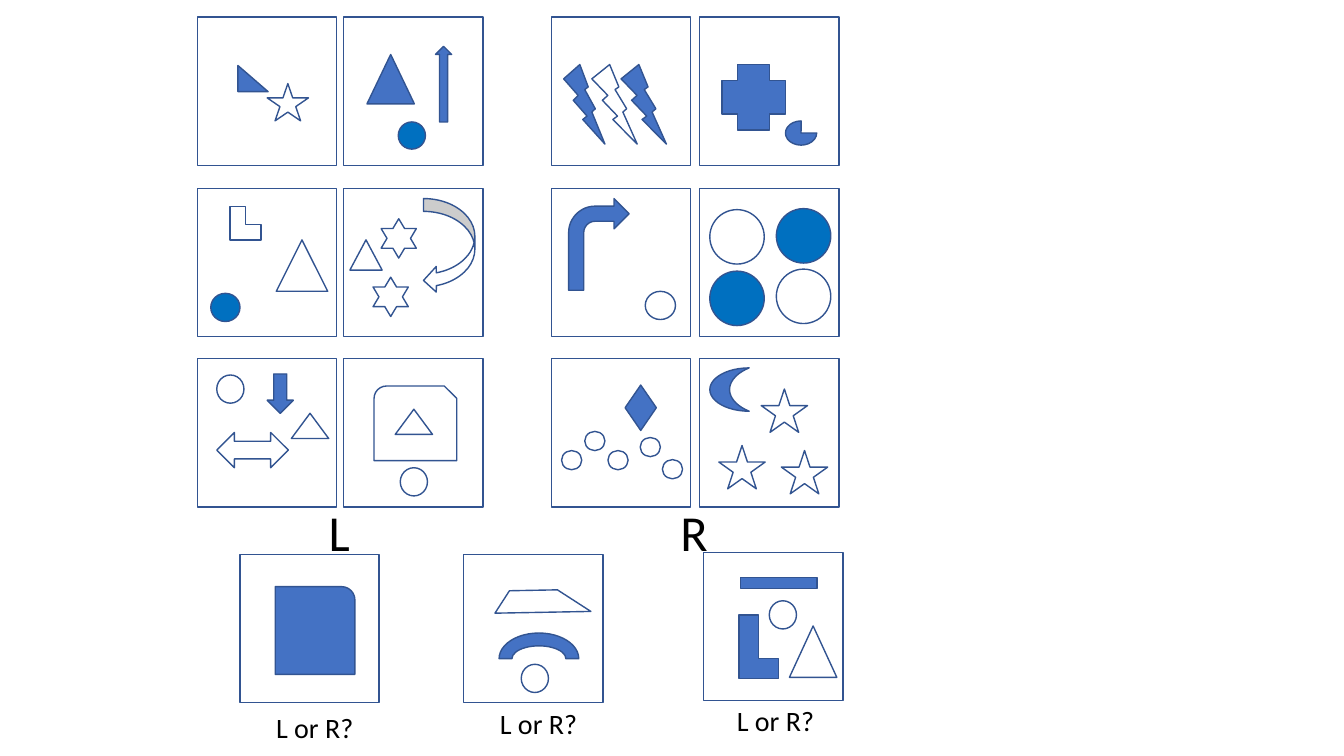
import pptx
import pptx.dml.color
import pptx.enum.shapes
import pptx.enum.text
import pptx.util

SHAPE = pptx.enum.shapes.MSO_SHAPE
BLUE, DEEP, WHITE, LINE, BLACK = "4472C4", "0070C0", "FFFFFF", "325491", "000000"
STEP = 0.1
PANEL = (13.8, 14.7)
COLS = (19.6, 34.1, 54.7, 69.4)
ROWS = (1.7, 18.7, 35.6)

EXAMPLES = [
    [
        [("RIGHT_TRIANGLE", BLUE, 4, 4.8, 3, 2.6), ("STAR_5_POINT", WHITE, 6.9, 6.6, 4.1, 3.7)],
        [("FLOWCHART_EXTRACT", BLUE, 2.3, 3.7, 4.7, 4.9),
         ("UP_ARROW", BLUE, 9.1, 2.9, 1.6, 7.5),
         ("OVAL", DEEP, 5.4, 10.4, 2.7, 2.7)],
        [("LIGHTNING_BOLT", BLUE, 1.2, 4.7, 4.1, 7.9),
         ("LIGHTNING_BOLT", BLUE, 6.9, 4.7, 4.5, 7.9),
         ("LIGHTNING_BOLT", WHITE, 4, 4.7, 4.5, 7.9)],
        [("CROSS", BLUE, 2.2, 4.7, 6.3, 6.5), ("PIE", BLUE, 8.5, 10.3, 3.1, 2.4)],
    ],
    [
        [("CORNER", WHITE, 3.2, 1.8, 3.1, 3.3),
         ("FLOWCHART_EXTRACT", WHITE, 7.8, 5.1, 5.1, 5.1),
         ("OVAL", DEEP, 1.3, 10.4, 2.9, 2.8)],
        [("STAR_6_POINT", WHITE, 3.7, 3, 3.5, 3.9),
         ("STAR_6_POINT", WHITE, 2.9, 8.8, 3.5, 3.9),
         ("CURVED_LEFT_ARROW", WHITE, 7.9, 1, 5.1, 9.4),
         ("FLOWCHART_EXTRACT", WHITE, 0.6, 5.1, 3.2, 3)],
        [("BENT_ARROW", BLUE, 1.7, 1, 6, 9.1), ("OVAL", WHITE, 9.3, 10.2, 3, 2.8)],
        [("OVAL", c, x, y, 5.4, 5.4) for c, x, y in
         ((WHITE, 7.6, 8), (DEEP, 1, 8.2), (DEEP, 7.6, 2), (WHITE, 1, 2.1))],
    ],
    [
        [("DOWN_ARROW", BLUE, 6.9, 1.5, 2.6, 3.9),
         ("LEFT_RIGHT_ARROW", WHITE, 1.9, 7.3, 7.1, 3.5),
         ("FLOWCHART_EXTRACT", WHITE, 9.3, 5.4, 3.7, 2.5),
         ("OVAL", WHITE, 1.9, 1.6, 2.7, 2.8)],
        [("SNIP_ROUND_RECTANGLE", WHITE, 3, 2.7, 8.2, 7.4),
         ("FLOWCHART_EXTRACT", WHITE, 5.1, 5, 3.7, 2.5),
         ("OVAL", WHITE, 5.6, 10.8, 2.7, 2.8)],
        [("DIAMOND", BLUE, 7.3, 2.6, 3.1, 4.5)]
        + [("OVAL", WHITE, x, y, 2, 1.9) for x, y in
           ((1, 9.1), (3.3, 7.2), (5.6, 9.1), (8.8, 7.8), (11, 10))],
        [("MOON", BLUE, 1, 0.9, 3.9, 4.3)]
        + [("STAR_5_POINT", WHITE, x, y, 4.6, 4.3) for x, y in
           ((1.9, 8.6), (8.1, 9.1), (6.1, 3))],
    ],
]

QUESTIONS = [
    (23.8, 55, 26.4, 70, [("ROUND_1_RECTANGLE", BLUE, 3.5, 3.2, 7.9, 8.7)]),
    (46, 55, 48.6, 69.6, [
        ("DIAGONAL_STRIPE", None, 3.9, 3.1, 7.9, 5.3, 32.8),
        ("BLOCK_ARC", BLUE, 3.5, 7.8, 7.9, 5.1),
        ("OVAL", WHITE, 5.7, 10.9, 2.7, 2.8)]),
    (69.8, 54.8, 72.1, 69.3, [
        ("CORNER", BLUE, 3.5, 6.2, 3.9, 6.3),
        ("MATH_MINUS", BLUE, 2.3, 0.7, 10.3, 4.7),
        ("FLOWCHART_EXTRACT", WHITE, 8.5, 7.3, 4.7, 5.1),
        ("OVAL", WHITE, 6.5, 4.8, 2.7, 2.8)]),
]


def rgb(value):
    """Return the colour for a hex string."""
    return pptx.dml.color.RGBColor.from_string(value)


def write(tf, text, size=20, font="Calibri", color=BLACK):
    """Put one formatted run into a text frame."""
    r = tf.paragraphs[0].add_run()
    r.text = text
    r.font.size = pptx.util.Pt(size)
    r.font.name = font
    r.font.color.rgb = rgb(color)


class Sheet:
    """Draw puzzle elements on a slide, measured in grid steps."""

    def __init__(self, s, line=LINE, weight=1):
        """Keep the slide and the outline style."""
        self.s, self.line, self.weight = s, line, weight

    def box(self, *steps):
        """Convert grid steps to lengths."""
        return [pptx.util.Inches(n * STEP) for n in steps]

    def figure(self, kind, fill, x, y, w, h, turn=0):
        """Add an outlined preset shape."""
        sp = self.s.shapes.add_shape(getattr(SHAPE, kind), *self.box(x, y, w, h))
        sp.shadow.inherit = False
        sp.rotation = turn
        if fill:
            sp.fill.solid()
            sp.fill.fore_color.rgb = rgb(fill)
        else:
            sp.fill.background()
        sp.line.color.rgb = rgb(self.line)
        sp.line.width = pptx.util.Pt(self.weight)

    def panel(self, x, y, figures):
        """Add a frame and the figures placed from its corner."""
        self.figure("RECTANGLE", WHITE, x, y, *PANEL)
        for kind, fill, dx, dy, *rest in figures:
            self.figure(kind, fill, x + dx, y + dy, *rest)

    def label(self, text, x, y, w, h, **style):
        """Add a label that does not wrap."""
        tf = self.s.shapes.add_textbox(*self.box(x, y, w, h)).text_frame
        tf.word_wrap = False
        tf.auto_size = pptx.enum.text.MSO_AUTO_SIZE.SHAPE_TO_FIT_TEXT
        write(tf, text, **style)


def main():
    """Build and save the slide."""
    prs = pptx.Presentation()
    prs.slide_width = pptx.util.Inches(13.33)
    prs.slide_height = pptx.util.Inches(7.5)
    sheet = Sheet(prs.slides.add_slide(prs.slide_layouts[6]))
    for y, row in zip(ROWS, EXAMPLES):
        for x, figures in zip(COLS, row):
            sheet.panel(x, y, figures)
    for x, y, label_x, label_y, figures in QUESTIONS:
        sheet.panel(x, y, figures)
        sheet.label("L or R?", label_x, label_y, 9.7, 4.4)
    sheet.label("L", 31.6, 49.2, 4.1, 7.1, size=36)
    sheet.label("R", 66.5, 49.2, 4.8, 7.1, size=36)
    prs.save("out.pptx")


if __name__ == "__main__":
    main()
